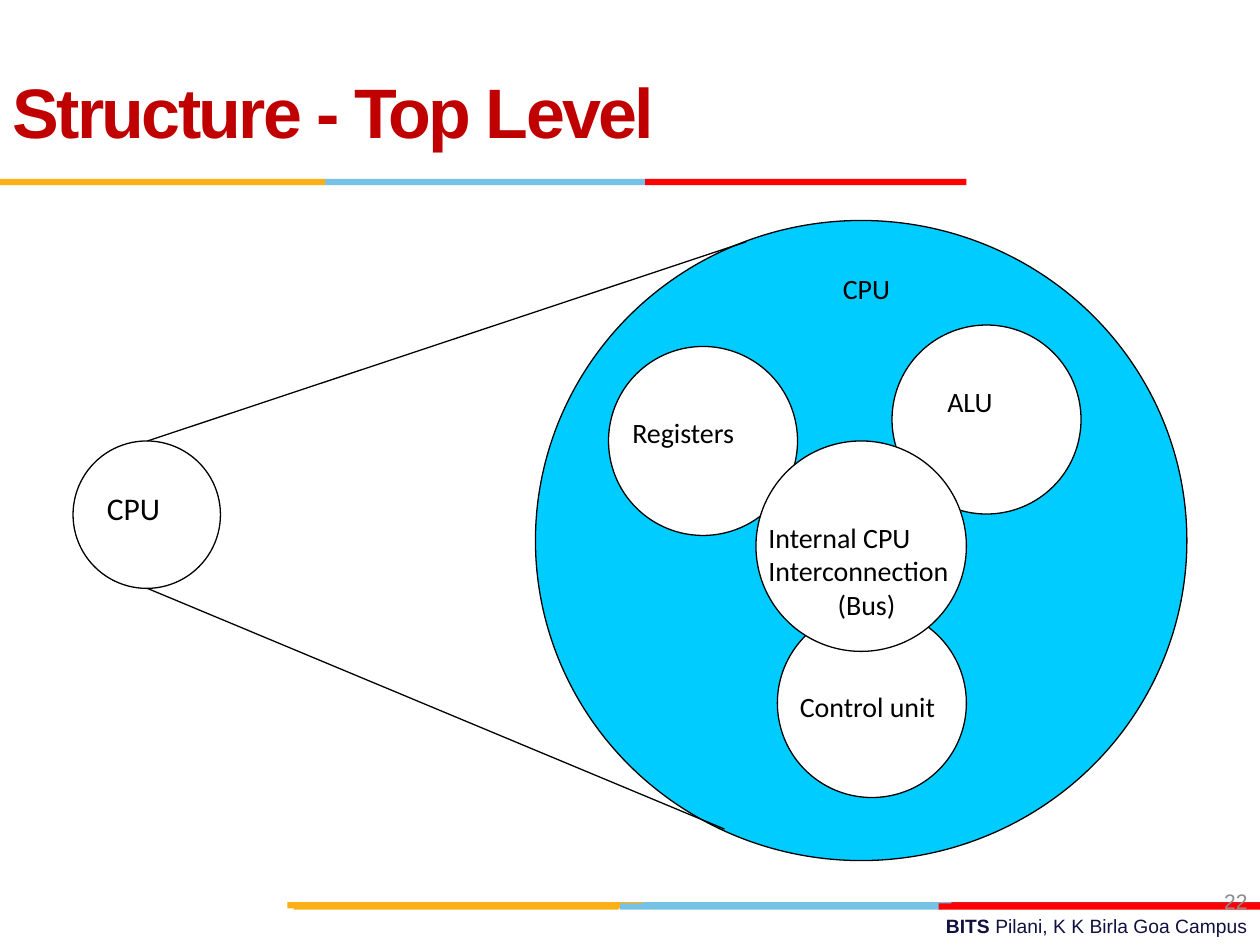
import pptx
import pptx.dml.color
import pptx.enum.shapes
import pptx.enum.text
import pptx.oxml.ns
import pptx.util
from pptx.util import Inches, Pt

SHAPE = pptx.enum.shapes.MSO_SHAPE
ALIGN = pptx.enum.text.PP_ALIGN
ANCHOR = pptx.enum.text.MSO_ANCHOR
AUTO_SIZE = pptx.enum.text.MSO_AUTO_SIZE

AMBER, SKY, RED = "FCB017", "76C2E5", "FF0000"
BLACK, WHITE, CYAN = "000000", "FFFFFF", "00CCFF"

TITLE = "Structure - Top Level"
CAMPUS = [("BITS ", True), ("Pilani, K K Birla Goa Campus", False)]
PAGE_NUMBER = "22"

STRIPES = [
    (7.16, [(5.06, 2.55, SKY), (7.55, 2.45, "E31C24"), (2.28, 2.82, AMBER)]),
    (7.17, [(4.92, 2.55, SKY), (2.33, 2.58, AMBER), (7.45, 2.55, RED)]),
    (1.42, [(2.58, 2.55, SKY), (0, 2.58, AMBER), (5.12, 2.55, RED)]),
]
OUTER_CIRCLES = [
    (0.58, 3.5, 1.17, 1.17, None),
    (4.25, 1.75, 5.17, 5.08, CYAN),
]
ZOOM_LINES = [(1.17, 4.67, 5.75, 6.58), (1.17, 3.5, 5.92, 1.92)]
UNIT_CIRCLES = [
    (6.17, 4.83, 1.5, 1.5, WHITE),
    (4.83, 2.75, 1.5, 1.5, WHITE),
    (7.08, 2.58, 1.5, 1.5, WHITE),
    (6, 3.5, 1.67, 1.67, WHITE),
]
LABELS = [
    (["Registers"], 4.92, 3.25, 1.14, 0.37, 16),
    (["Internal CPU", "Interconnection", "(Bus)"], 6, 4.08, 1.65, 0.91, 16),
    (["ALU"], 7.42, 3, 0.63, 0.37, 16),
    (["Control unit"], 6.25, 5.42, 1.33, 0.37, 16),
    (["CPU"], 6.59, 2.11, 0.58, 0.37, 16),
    (["CPU"], 0.75, 3.83, 1.42, 0.47, 18),
]
BUS_INDENT = 0.55


def color(hex_string):
    return pptx.dml.color.RGBColor.from_string(hex_string)


def set_font(font, name, size, hex_string, bold=False):
    font.name = name
    font.size = Pt(size)
    font.bold = bold
    font.color.rgb = color(hex_string)


def add_figure(slide, preset, left, top, width, height, fill, outlined):
    figure = slide.shapes.add_shape(
        preset, Inches(left), Inches(top), Inches(width), Inches(height))
    figure.shadow.inherit = False
    if fill:
        figure.fill.solid()
        figure.fill.fore_color.rgb = color(fill)
    else:
        figure.fill.background()
    if outlined:
        figure.line.color.rgb = color(BLACK)
        figure.line.width = Pt(0.75)
    else:
        figure.line.fill.background()


def add_circles(slide, circles):
    for left, top, width, height, fill in circles:
        add_figure(slide, SHAPE.OVAL, left, top, width, height, fill, True)


def add_zoom_line(slide, x1, y1, x2, y2):
    zoom = slide.shapes.add_connector(
        pptx.enum.shapes.MSO_CONNECTOR.STRAIGHT,
        Inches(x1), Inches(y1), Inches(x2), Inches(y2))
    zoom.line.color.rgb = color(BLACK)
    zoom.line.width = Pt(0.75)
    properties = zoom._element.spPr
    properties.append(properties.makeelement(pptx.oxml.ns.qn("a:effectLst"), {}))


def add_text_frame(slide, left, top, width, height, wrap=True):
    frame = slide.shapes.add_textbox(
        Inches(left), Inches(top), Inches(width), Inches(height)).text_frame
    frame.word_wrap = wrap
    return frame


def add_label(slide, lines, left, top, width, height, size):
    frame = add_text_frame(slide, left, top, width, height, False)
    frame.text = "\n".join(lines)
    for paragraph in frame.paragraphs:
        if paragraph.text == "(Bus)":
            paragraph._p.get_or_add_pPr().set("marL", str(Inches(BUS_INDENT)))
        set_font(paragraph.font, "Calibri", size, BLACK)


def add_title(slide):
    title = slide.shapes.title
    title.left, title.top = Inches(0), Inches(0.25)
    title.width, title.height = Inches(8.5), Inches(1.25)
    frame = title.text_frame
    frame.text = TITLE
    frame.auto_size = AUTO_SIZE.NONE
    frame.vertical_anchor = ANCHOR.MIDDLE
    heading = frame.paragraphs[0]
    heading.alignment = ALIGN.LEFT
    set_font(heading.font, "Arial", 40, "C00000", True)
    heading.runs[0]._r.get_or_add_rPr().set("spc", "-150")


def add_footer(slide):
    campus = add_text_frame(slide, 3.58, 7.21, 6.42, 0.29).paragraphs[0]
    campus.alignment = ALIGN.RIGHT
    for text, bold in CAMPUS:
        run = campus.add_run()
        run.text = text
        set_font(run.font, "Arial", 11, "101141", bold)


def add_page_number(slide):
    frame = add_text_frame(slide, 7.67, 6.95, 2.33, 0.4)
    frame.text = PAGE_NUMBER
    frame.vertical_anchor = ANCHOR.MIDDLE
    number = frame.paragraphs[0]
    number.alignment = ALIGN.RIGHT
    set_font(number.font, "Arial", 12, "8C8C8C")


def main():
    deck = pptx.Presentation()
    deck.slide_width, deck.slide_height = Inches(10), Inches(7.5)
    slide = deck.slides.add_slide(deck.slide_layouts[5])
    add_title(slide)
    add_footer(slide)
    for top, segments in STRIPES:
        for left, width, fill in segments:
            add_figure(slide, SHAPE.RECTANGLE, left, top, width, 0.05, fill, False)
    add_page_number(slide)
    add_circles(slide, OUTER_CIRCLES)
    for ends in ZOOM_LINES:
        add_zoom_line(slide, *ends)
    add_circles(slide, UNIT_CIRCLES)
    for label in LABELS:
        add_label(slide, *label)
    deck.save("out.pptx")


if __name__ == "__main__":
    main()
